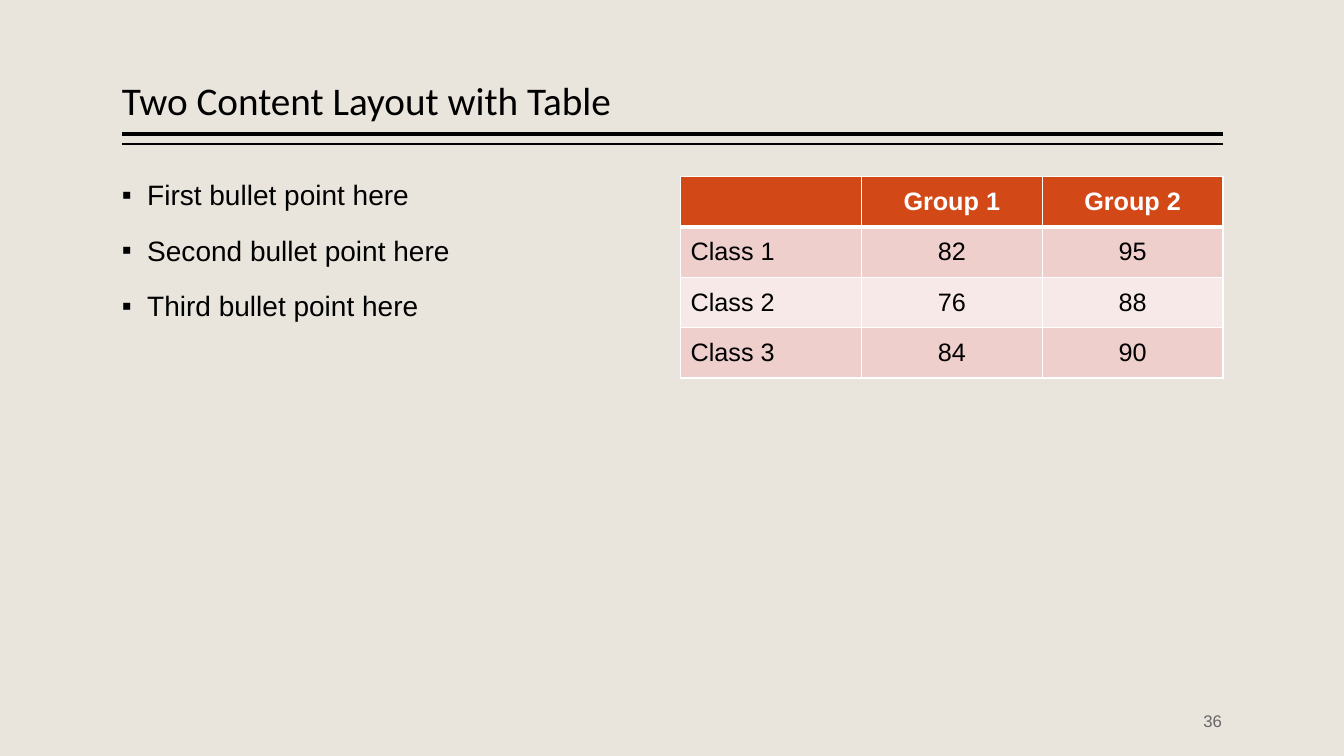
from lxml import etree
from pptx import Presentation
from pptx.dml.color import RGBColor
from pptx.enum.shapes import MSO_CONNECTOR
from pptx.enum.text import MSO_ANCHOR, MSO_AUTO_SIZE, PP_ALIGN
from pptx.oxml.ns import qn
from pptx.util import Inches, Pt

STRAIGHT = MSO_CONNECTOR.STRAIGHT
TOP, MIDDLE, BOTTOM = MSO_ANCHOR.TOP, MSO_ANCHOR.MIDDLE, MSO_ANCHOR.BOTTOM
LEFT, CENTER, RIGHT = PP_ALIGN.LEFT, PP_ALIGN.CENTER, PP_ALIGN.RIGHT
NO_AUTOFIT = MSO_AUTO_SIZE.NONE

BLACK, WHITE, GRAY = "000000", "FFFFFF", "666666"
BACKGROUND, HEADER = "E9E5DC", "D34817"
BANDS = ["EFCFCC", "F7E9E8"]

MARGIN_LEFT, MARGIN_RIGHT = 1.21, 12.13
COLUMN_WIDTH, CONTENT_TOP = 5.38, 1.75
ROW_HEIGHT = 0.5

BULLETS = ["First bullet point here", "Second bullet point here", "Third bullet point here"]
SCORES = [
    ["", "Group 1", "Group 2"],
    ["Class 1", "82", "95"],
    ["Class 2", "76", "88"],
    ["Class 3", "84", "90"],
]


def color(value):
    return RGBColor.from_string(value)


def format_para(para, size, font, value, align=LEFT, bold=False):
    para.alignment = align
    for span in para.runs:
        span.font.size = Pt(size)
        span.font.name = font
        span.font.bold = bold
        span.font.color.rgb = color(value)


def place_text(box, left, top, width, height, text, anchor):
    box.left, box.top = Inches(left), Inches(top)
    box.width, box.height = Inches(width), Inches(height)
    frame = box.text_frame
    frame.text = text
    frame.word_wrap = True
    frame.auto_size = NO_AUTOFIT
    frame.vertical_anchor = anchor
    frame.margin_left = frame.margin_right = 0
    frame.margin_top = frame.margin_bottom = Inches(0.05)
    return frame.paragraphs


def add_rule(page, y, weight):
    rule = page.shapes.add_connector(
        STRAIGHT, Inches(MARGIN_RIGHT), Inches(y), Inches(MARGIN_LEFT), Inches(y))
    rule.line.color.rgb = color(BLACK)
    rule.line.width = Pt(weight)
    etree.SubElement(rule._element.spPr, qn("a:effectLst"))


def add_bullet(para):
    para.line_spacing = 0.9
    para.space_before = Pt(18)
    properties = para._p.get_or_add_pPr()
    properties.set("marL", str(Inches(0.25)))
    properties.set("indent", str(-Inches(0.25)))
    etree.SubElement(properties, qn("a:buFont"), typeface="Arial")
    etree.SubElement(properties, qn("a:buChar"), char="▪")


def add_borders(cell, top, bottom):
    properties = cell._tc.get_or_add_tcPr()
    for side, weight in (("L", 1), ("R", 1), ("T", top), ("B", bottom)):
        border = etree.SubElement(properties, qn(f"a:ln{side}"), w=str(Pt(weight)))
        fill = etree.SubElement(border, qn("a:solidFill"))
        etree.SubElement(fill, qn("a:srgbClr"), val=WHITE)


def format_cell(cell, text, row, column):
    is_header = row == 0
    add_borders(cell, 3 if row == 1 else 1, 3 if is_header else 1)
    cell.fill.solid()
    cell.fill.fore_color.rgb = color(HEADER if is_header else BANDS[(row - 1) % 2])
    cell.vertical_anchor = MIDDLE
    cell.text = text
    format_para(cell.text_frame.paragraphs[0], 18, "Arial",
                WHITE if is_header else BLACK,
                LEFT if column == 0 else CENTER, is_header)


def add_scores(page):
    rows, columns = len(SCORES), len(SCORES[0])
    table = page.shapes.add_table(
        rows, columns, Inches(MARGIN_RIGHT - COLUMN_WIDTH), Inches(CONTENT_TOP),
        Inches(COLUMN_WIDTH), Inches(rows * ROW_HEIGHT)).table
    for row, texts in enumerate(SCORES):
        for column, text in enumerate(texts):
            format_cell(table.cell(row, column), text, row, column)


def add_page_number(page, number):
    box = page.shapes.add_textbox(0, 0, 0, 0)
    paras = place_text(box, 10.12, 6.95, 2, 0.4, number, MIDDLE)
    format_para(paras[0], 12, "Arial", GRAY, RIGHT)


def main():
    deck = Presentation()
    deck.slide_width, deck.slide_height = Inches(13.33), Inches(7.5)
    page = deck.slides.add_slide(deck.slide_layouts[1])
    page.background.fill.solid()
    page.background.fill.fore_color.rgb = color(BACKGROUND)

    add_rule(page, 1.33, 3)
    add_rule(page, 1.43, 1)

    title = place_text(page.shapes.title, MARGIN_LEFT, 0.08, MARGIN_RIGHT - MARGIN_LEFT,
                       1.2, "Two Content Layout with Table", BOTTOM)[0]
    title.line_spacing = 0.9
    format_para(title, 28, "Calibri", BLACK)

    for para in place_text(page.placeholders[1], MARGIN_LEFT, CONTENT_TOP, COLUMN_WIDTH,
                           5, "\n".join(BULLETS), TOP):
        add_bullet(para)
        format_para(para, 20, "Arial", BLACK)

    add_scores(page)
    add_page_number(page, "36")
    deck.save("out.pptx")


if __name__ == "__main__":
    main()
